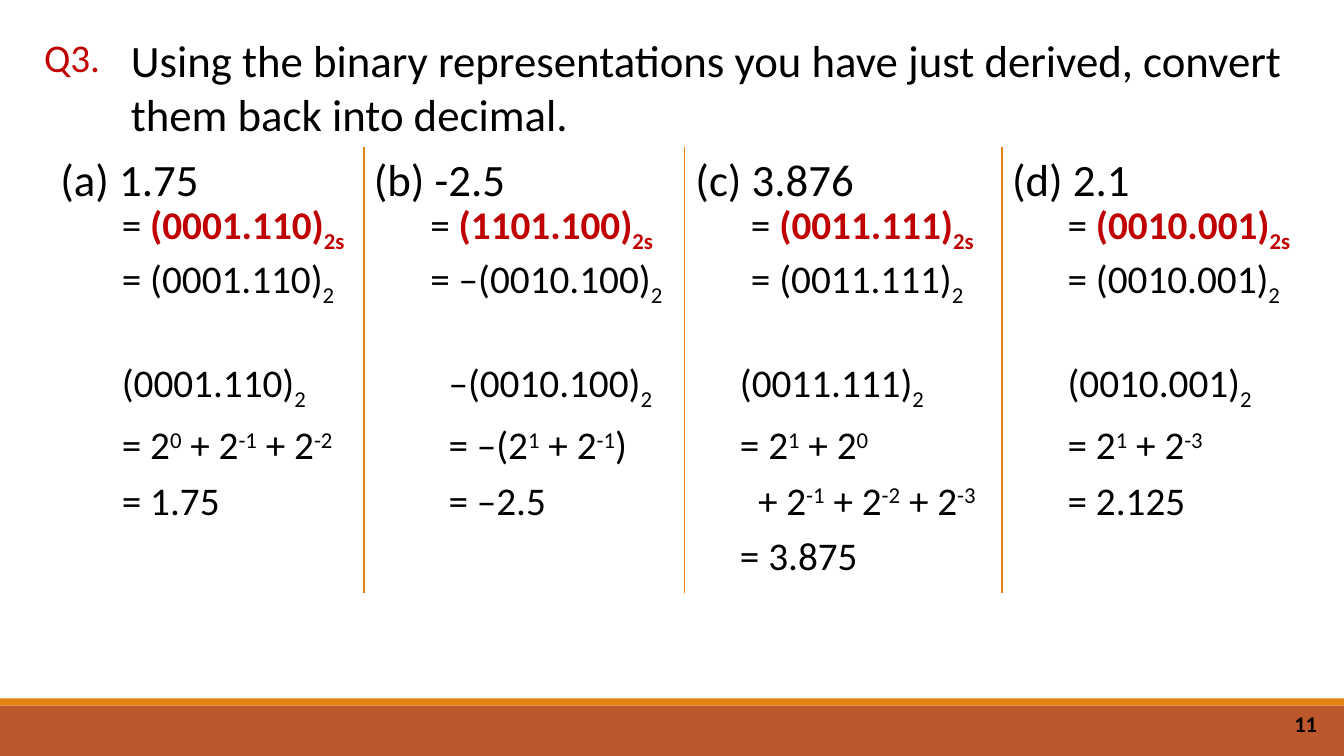
"""Build a slide that converts four binary fixed-point numbers back to decimal."""
from lxml.etree import SubElement
from pptx import Presentation
from pptx.dml.color import RGBColor
from pptx.enum.shapes import MSO_CONNECTOR, MSO_SHAPE
from pptx.enum.text import MSO_ANCHOR, PP_ALIGN
from pptx.oxml.ns import qn
from pptx.util import Pt

PX = 9144
BLACK = RGBColor(0x00, 0x00, 0x00)
RED = RGBColor(0xC0, 0x00, 0x00)
ORANGE = RGBColor(0xE4, 0x83, 0x12)
RUST = RGBColor(0xBD, 0x58, 0x2C)

LABEL = "Q3."
TASK = ("Using the binary representations you have just derived, "
        "convert them back into decimal.")
NUMBER = "11"
SHIFTS = {"_": "-25000", "^": "30000"}

# "|" parts the runs; "_" lowers, "^" raises, "*" marks the given value, ">" indents.
CASES = [
    {"head": "(a) 1.75", "lefts": (50, 111, 111),
     "forms": ["= |*(0001.110)|*_2s", "= (0001.110)|_2"],
     "steps": ["(0001.110)|_2", "= 2|^0| + 2|^-1| + 2|^-2", "= 1.75"]},
    {"head": "(b) -2.5", "lefts": (361, 417, 435),
     "forms": ["= |*(1101.100)|*_2s", "= –(0010.100)|_2"],
     "steps": ["–(0010.100)|_2", "= –(2|^1| + 2|^-1|)", "= –2.5"]},
    {"head": "(c) 3.876", "lefts": (680, 735, 724),
     "forms": ["= |*(0011.111)|*_2s", "= (0011.111)|_2"],
     "steps": ["(0011.111)|_2", "= 2|^1| + 2|^0",
               ">+ 2|^-1| + 2|^-2| + 2|^-3", "= 3.875"]},
    {"head": "(d) 2.1", "lefts": (994, 1049, 1049),
     "forms": ["= |*(0010.001)|*_2s", "= (0010.001)|_2"],
     "steps": ["(0010.001)|_2", "= 2|^1| + 2|^-3", "= 2.125"]},
]
HEAD_TOP, FORM_TOP, STEP_TOP = 146, 194, 351
HEAD_WIDE, FORM_WIDE, STEP_WIDE = 257, 281, 281
RULES = (361, 679, 994)
RULE_END = 588
INDENT = 18


def add_run(par, part):
    run = par.add_run()
    if part.startswith("*"):
        part = part[1:]
        run.font.bold = True
        run.font.color.rgb = RED
    if part[0] in SHIFTS:
        run.font._element.set("baseline", SHIFTS[part[0]])
        part = part[1:]
    run.text = part


def add_text(slide, box, lines, size, color=BLACK, after=0,
             align=PP_ALIGN.LEFT, bold=False, anchor=MSO_ANCHOR.TOP):
    frame = slide.shapes.add_textbox(*(n * PX for n in box)).text_frame
    frame.word_wrap = True
    frame.vertical_anchor = anchor
    for i, line in enumerate(lines):
        par = frame.add_paragraph() if i else frame.paragraphs[0]
        par.alignment = align
        par.space_after = Pt(after)
        font = par.font
        font.name, font.size, font.bold = "Calibri", Pt(size), bold
        font.color.rgb = color
        if line.startswith(">"):
            line = line[1:]
            par._p.get_or_add_pPr().set("marL", str(INDENT * PX))
        for part in line.split("|"):
            add_run(par, part)


def add_bar(slide, top, height, color):
    bar = slide.shapes.add_shape(
        MSO_SHAPE.RECTANGLE, 0, top * PX, 1333 * PX, height * PX)
    bar.shadow.inherit = False
    bar.fill.solid()
    bar.fill.fore_color.rgb = color
    bar.line.fill.background()


def add_rule(slide, left):
    rule = slide.shapes.add_connector(
        MSO_CONNECTOR.STRAIGHT, left * PX, HEAD_TOP * PX, left * PX, RULE_END * PX)
    rule.line.color.rgb = ORANGE
    rule.line.width = Pt(1)
    SubElement(rule._element.spPr, qn("a:effectLst"))


def main():
    deck = Presentation()
    deck.slide_width, deck.slide_height = 1333 * PX, 750 * PX
    slide = deck.slides.add_slide(deck.slide_layouts[6])

    add_bar(slide, 700, 50, RUST)
    add_bar(slide, 693, 7, ORANGE)
    add_text(slide, (1016, 698, 300, 40), [NUMBER], 16, bold=True,
             align=PP_ALIGN.RIGHT, anchor=MSO_ANCHOR.MIDDLE)
    add_text(slide, (22, 28, 99, 57), [LABEL], 28, RED, align=PP_ALIGN.CENTER)
    add_text(slide, (120, 28, 1192, 118), [TASK], 32)

    for case in CASES:
        head, form, step = case["lefts"]
        steps = case["steps"]
        add_text(slide, (head, HEAD_TOP, HEAD_WIDE, 64), [case["head"]], 32)
        add_text(slide, (form, FORM_TOP, FORM_WIDE, 104), case["forms"], 28)
        add_text(slide, (step, STEP_TOP, STEP_WIDE, 56 * len(steps)), steps, 28,
                 after=6)
    for left in RULES:
        add_rule(slide, left)
    deck.save("out.pptx")


if __name__ == "__main__":
    main()
